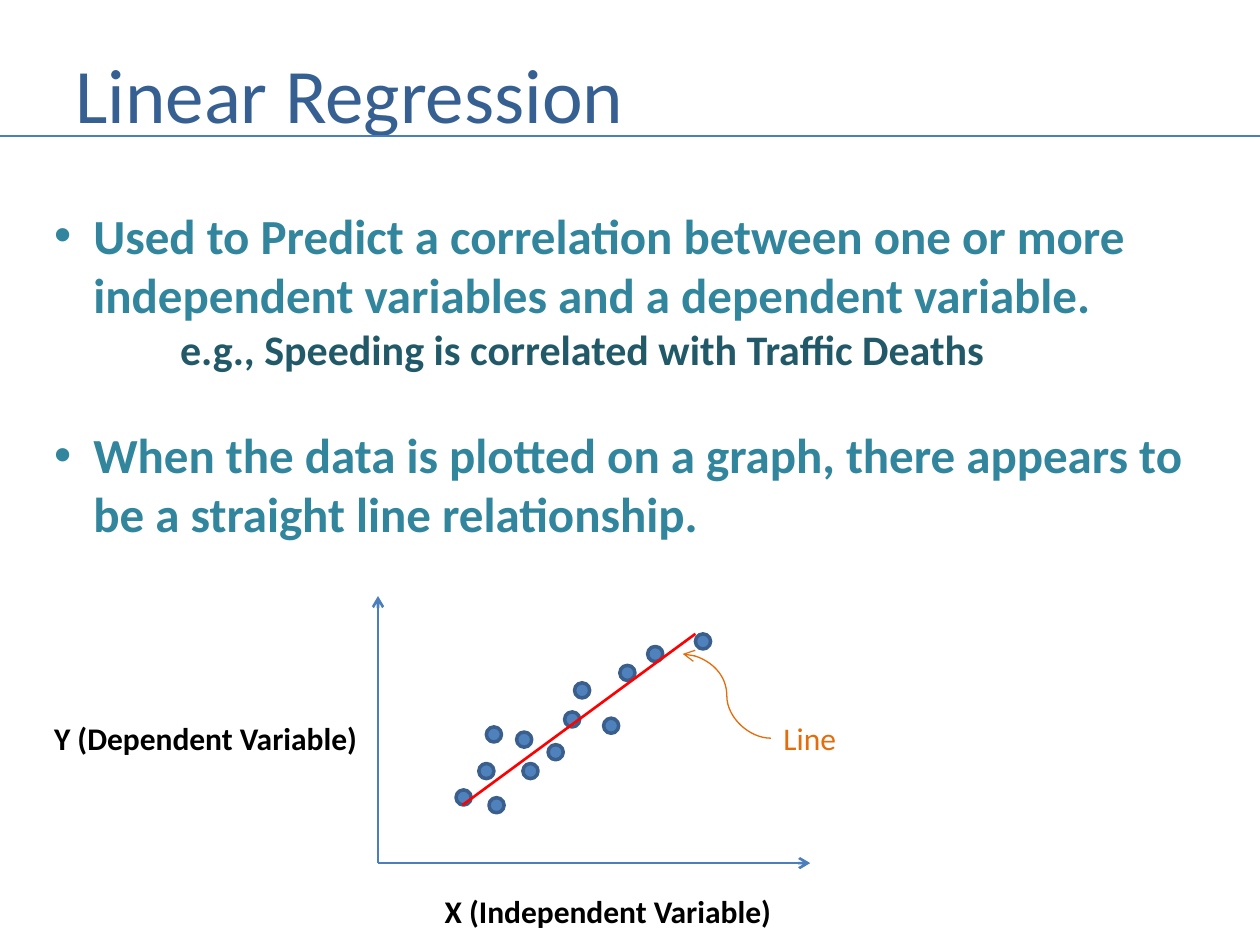
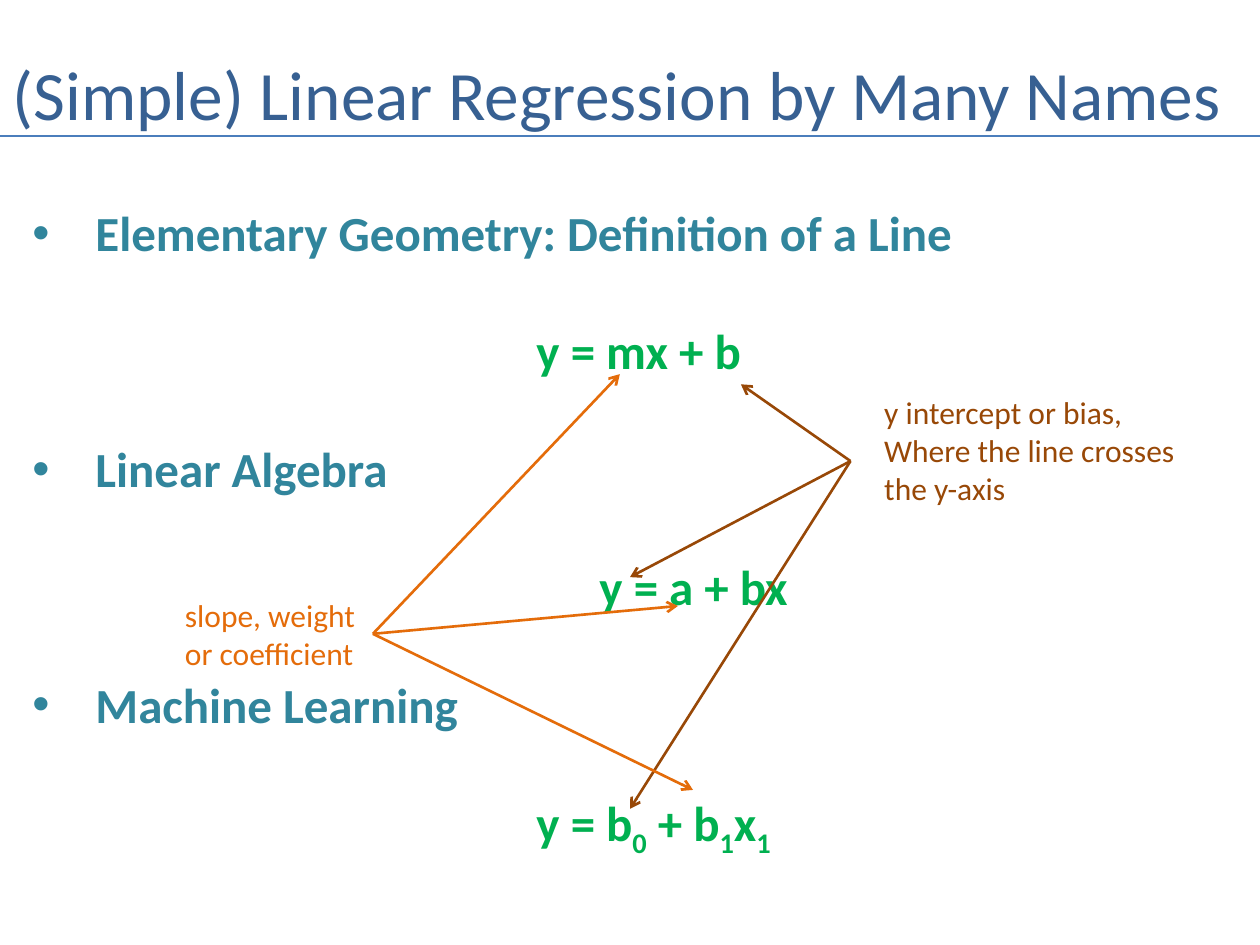
from pptx import Presentation
from pptx.dml.color import RGBColor
from pptx.enum.shapes import MSO_CONNECTOR, MSO_SHAPE
from pptx.enum.text import MSO_ANCHOR
from pptx.oxml.ns import qn
from pptx.util import Pt
from lxml import etree

STRAIGHT, CURVE = MSO_CONNECTOR.STRAIGHT, MSO_CONNECTOR.CURVE
DOT = MSO_SHAPE.FLOWCHART_CONNECTOR
MIDDLE, TOP = MSO_ANCHOR.MIDDLE, MSO_ANCHOR.TOP

FONT = "Calibri"
COLORS = {
    "title": "376092", "rule": "4B7EBC", "dot": "4F81BD", "dot_edge": "3A5F8C",
    "teal": "31859C", "dark_teal": "215968", "green": "00B050",
    "orange": "E46C0A", "brown": "984807", "red": "FF0000", "black": "000000",
}
W, H = 720, 540
RULE_Y = 77.8
DOT_SIZE = 8.64

REGRESSION_POINTS = [
    dict(text="Used to Predict a correlation between one or more\n"
              "independent variables and a dependent variable.", bullet=22.5),
    dict(text="e.g., Speeding is correlated with Traffic Deaths",
         left=72, size=24, color="dark_teal"),
    dict(text="When the data is plotted on a graph, there appears to\n"
              "be a straight line relationship.", bullet=22.5, before=29.3),
]
AXIS_ORIGIN = (216, 493.2)
AXIS_ENDS = [(216, 340.6), (463, 493.2)]
DOTS = [
    (279.4, 455.8), (273.6, 436.3), (260.6, 451.4), (313.2, 425.5),
    (328.3, 390.2), (298.8, 436.3), (354.2, 380.2), (370.1, 369.4),
    (397.4, 362.2), (295.2, 418.3), (344.9, 410.4), (322.6, 406.8),
    (277.9, 415.4),
]
PLOT_LABELS = [
    ("X (Independent Variable)", (247, 506.2, 202.3, 28.8), "black", True),
    ("Y (Dependent Variable)", (23.8, 407.5, 189.4, 28.8), "black", True),
    ("Line", (440.6, 407.5, 45.4, 28.8), "orange", False),
]
FIT_LINE = ((264.2, 460.1), (397.4, 362.2))
LINE_POINTER = ((440.6, 421.9), (390.2, 373.7))

EQUATIONS = [
    ("Elementary Geometry: Definition of a Line", "y = mx + b", 288),
    ("Linear Algebra", "y = a + bx", 324),
    ("Machine Learning", "y = b_0_ + b_1_x_1_", 288),
]
LINE_STEP = 33.8
CALLOUTS = [
    dict(lines="y intercept or bias,\nWhere the line crosses\nthe y-axis",
         box=(498.2, 221, 186.5, 72.7), color="brown", start=(486, 263.5),
         ends=[(423.4, 219.6), (360, 329.8), (360, 462.2)]),
    dict(lines="slope, weight\nor coefficient",
         box=(98.6, 337, 114.5, 51.1), color="orange", start=(213.1, 362.2),
         ends=[(354.2, 213.8), (387.4, 346.3), (396, 451.4)]),
]


def rgb(name):
    return RGBColor.from_string(COLORS[name])


def add_runs(p, line, size, color, bold):
    for i, part in enumerate(line.split("_")):
        if not part:
            continue
        r = p.add_run()
        r.text = part
        r.font.name, r.font.size, r.font.bold = FONT, Pt(size), bold
        r.font.color.rgb = rgb(color)
        if i % 2:
            r.font._element.set("baseline", "-25000")


def add_text(s, box, paragraphs, size=18, color="black", bold=False,
             wrap=True, anchor=TOP):
    tf = s.shapes.add_textbox(*map(Pt, box)).text_frame
    tf.word_wrap, tf.vertical_anchor = wrap, anchor
    if isinstance(paragraphs, str):
        paragraphs = [dict(text=paragraphs)]
    for i, item in enumerate(paragraphs):
        p = tf.add_paragraph() if i else tf.paragraphs[0]
        p.space_before = Pt(item.get("before", 0))
        bullet = item.get("bullet", 0)
        pPr = p._p.get_or_add_pPr()
        pPr.set("marL", str(Pt(bullet or item.get("left", 0))))
        pPr.set("indent", str(-Pt(bullet)))
        if bullet:
            etree.SubElement(pPr, qn("a:buFont")).set("typeface", "Arial")
            etree.SubElement(pPr, qn("a:buChar")).set("char", "•")
        for n, line in enumerate(item["text"].split("\n")):
            if n:
                p.add_line_break()
            add_runs(p, line, item.get("size", size), item.get("color", color), bold)


def add_line(s, start, end, color, width=1.5, arrow=False, kind=STRAIGHT):
    c = s.shapes.add_connector(kind, *map(Pt, (*start, *end)))
    c.line.color.rgb, c.line.width = rgb(color), Pt(width)
    if arrow:
        etree.SubElement(c.line._get_or_add_ln(), qn("a:tailEnd")).set("type", "arrow")
    etree.SubElement(c._element.spPr, qn("a:effectLst"))


def add_dot(s, x, y):
    sp = s.shapes.add_shape(DOT, *map(Pt, (x, y, DOT_SIZE, DOT_SIZE)))
    sp.shadow.inherit = False
    sp.fill.solid()
    sp.fill.fore_color.rgb = rgb("dot")
    sp.line.color.rgb, sp.line.width = rgb("dot_edge"), Pt(2)


def add_slide(prs, title, left, width, size):
    s = prs.slides.add_slide(prs.slide_layouts[6])
    add_text(s, (left, 21.6, width, 62.6), title, size=size, color="title", anchor=MIDDLE)
    add_line(s, (0, RULE_Y), (W, RULE_Y), "rule")
    return s


def build_regression(prs):
    s = add_slide(prs, "Linear Regression", 36, 653.8, 44)
    for end in AXIS_ENDS:
        add_line(s, AXIS_ORIGIN, end, "rule", arrow=True)
    for x, y in DOTS:
        add_dot(s, x, y)
    for label, box, color, bold in PLOT_LABELS:
        add_text(s, box, label, color=color, bold=bold, wrap=False)
    add_line(s, *LINE_POINTER, "orange", width=0.75, arrow=True, kind=CURVE)
    add_text(s, (23.8, 113.8, 667.4, 205.9), REGRESSION_POINTS,
             size=28, color="teal", bold=True)
    add_line(s, *FIT_LINE, "red")


def build_names(prs):
    s = add_slide(prs, "(Simple) Linear Regression by Many Names", 0, W, 39.6)
    paragraphs = []
    for i, (field, equation, left) in enumerate(EQUATIONS):
        paragraphs += [
            dict(text=field, bullet=36, before=LINE_STEP if i else 0),
            dict(text=equation, left=left, color="green", before=LINE_STEP),
        ]
    add_text(s, (11.5, 112.3, 660.2, 380.2), paragraphs, size=28, color="teal", bold=True)
    for c in CALLOUTS:
        add_text(s, c["box"], c["lines"], color=c["color"], wrap=False)
        for end in c["ends"]:
            add_line(s, c["start"], end, c["color"], arrow=True)


prs = Presentation()
prs.slide_width, prs.slide_height = Pt(W), Pt(H)
build_regression(prs)
build_names(prs)
prs.save("out.pptx")
